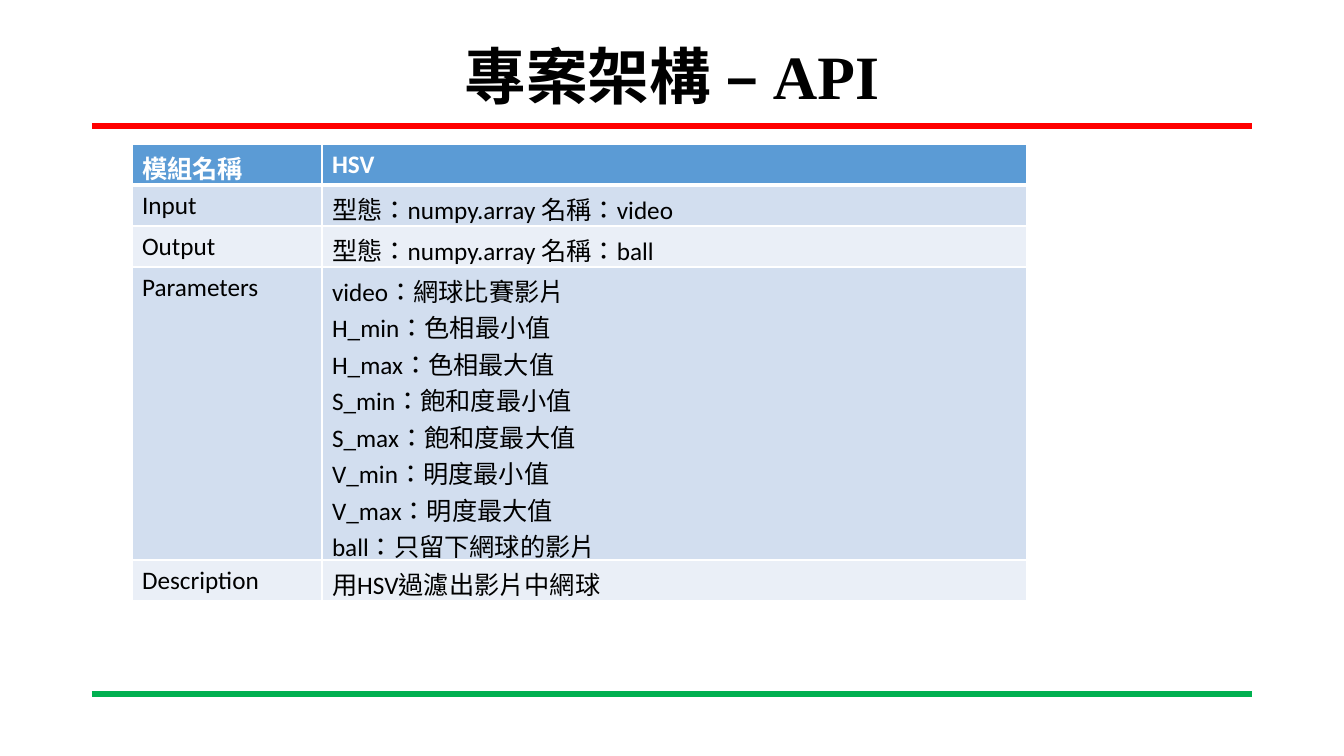
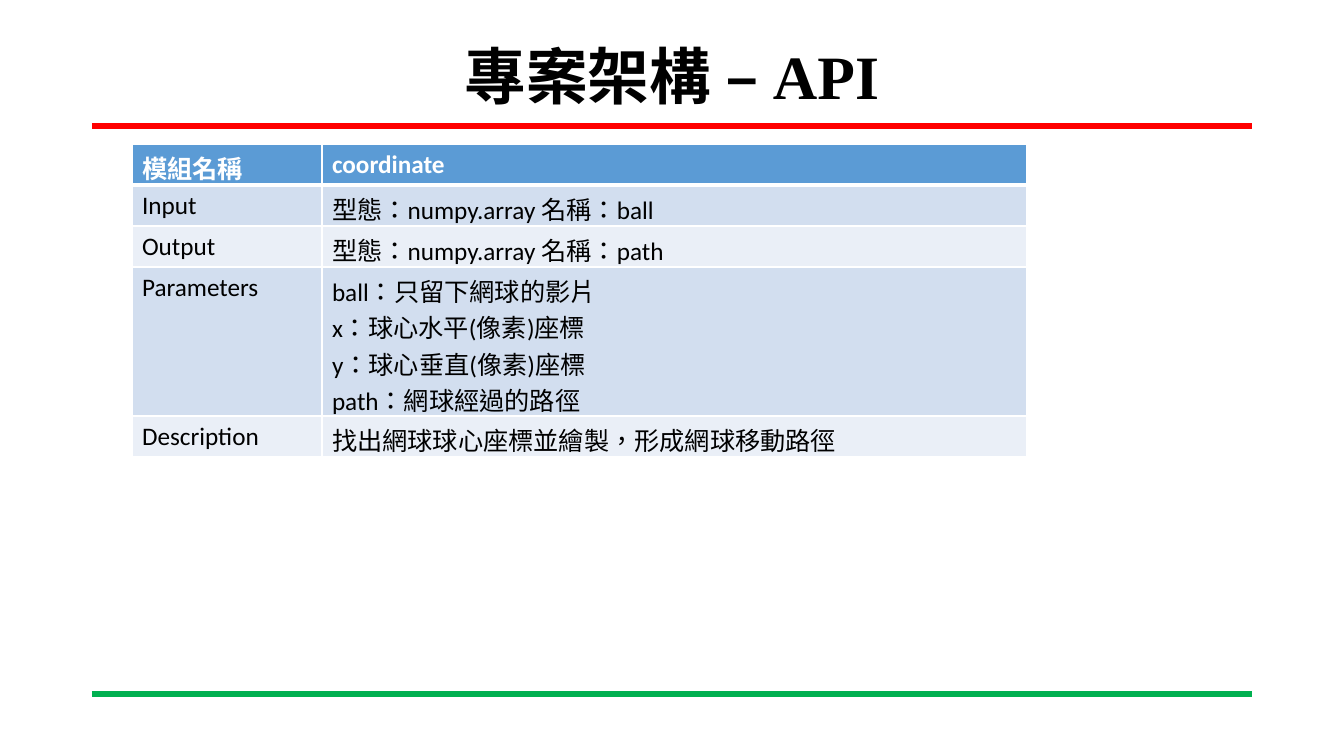
"""Builds two slides that describe the modules of a tennis ball tracker."""
from dataclasses import dataclass

from lxml import etree
from pptx import Presentation
from pptx.dml.color import RGBColor
from pptx.enum.lang import MSO_LANGUAGE_ID
from pptx.enum.shapes import MSO_CONNECTOR
from pptx.enum.text import MSO_ANCHOR, PP_ALIGN
from pptx.oxml.ns import qn
from pptx.slide import Slide
from pptx.table import _Cell
from pptx.text.text import _Paragraph
from pptx.util import Emu, Pt

CENTER = PP_ALIGN.CENTER
LEFT = PP_ALIGN.LEFT
MIDDLE = MSO_ANCHOR.MIDDLE
STRAIGHT = MSO_CONNECTOR.STRAIGHT
CHINESE = MSO_LANGUAGE_ID.TRADITIONAL_CHINESE

EMU_PER_PIXEL = 914400 / 100.8
PAGE_WIDTH, PAGE_HEIGHT = 1344, 756
MARGIN = 92
TITLE_TOP, TITLE_HEIGHT = 40, 80
TABLE_LEFT, TABLE_TOP = 132, 144
COLUMN_WIDTHS = (190, 705)
ROW_HEIGHT = 41
LINE_HEIGHT = 36

BLACK, WHITE = "000000", "FFFFFF"
HEADER_FILL = "5B9BD5"
BAND_FILLS = ("D2DEEF", "EAEFF7")
TITLE = "專案架構 – API"


@dataclass(frozen=True)
class Rule:
    """A horizontal line between the page margins."""
    y: int
    color: str


@dataclass(frozen=True)
class TextStyle:
    """The look of a paragraph."""
    font: str
    size: int
    color: str
    bold: bool = False
    align: PP_ALIGN = LEFT


@dataclass(frozen=True)
class Module:
    """The interface of one module."""
    name: str
    source: str
    result: str
    parameters: tuple[str, ...]
    description: str


RULES = (Rule(126, "FF0000"), Rule(694, "00B050"))
TITLE_STYLE = TextStyle("Times New Roman", 44, BLACK, True, CENTER)
HEADER_STYLE = TextStyle("Calibri", 18, WHITE, True)
BODY_STYLE = TextStyle("Calibri", 18, BLACK)

MODULES = (
    Module(
        "HSV", "video", "ball",
        ("video：網球比賽影片",
         "H_min：色相最小值", "H_max：色相最大值",
         "S_min：飽和度最小值", "S_max：飽和度最大值",
         "V_min：明度最小值", "V_max：明度最大值",
         "ball：只留下網球的影片"),
        "用HSV過濾出影片中網球",
    ),
    Module(
        "coordinate", "ball", "path",
        ("ball：只留下網球的影片", "x：球心水平(像素)座標",
         "y：球心垂直(像素)座標", "path：網球經過的路徑"),
        "找出網球球心座標並繪製，形成網球移動路徑",
    ),
)


def pixels(value: float) -> Emu:
    """Turn pixels into EMU."""
    return Emu(round(value * EMU_PER_PIXEL))


def rgb(value: str) -> RGBColor:
    """Turn a hex string into a colour."""
    return RGBColor.from_string(value)


def write(para: _Paragraph, text: str, style: TextStyle) -> None:
    """Fill a paragraph with styled text."""
    span = para.add_run()
    span.text = text
    span.font.language_id = CHINESE
    para.alignment = style.align
    para.font.name = style.font
    para.font.size = Pt(style.size)
    para.font.bold = style.bold
    para.font.color.rgb = rgb(style.color)


def draw_rule(page: Slide, rule: Rule) -> None:
    """Draw a line from margin to margin."""
    line = page.shapes.add_connector(
        STRAIGHT, pixels(MARGIN), pixels(rule.y),
        pixels(PAGE_WIDTH - MARGIN), pixels(rule.y))
    line.line.color.rgb = rgb(rule.color)
    line.line.width = Pt(4.5)
    etree.SubElement(line._element.spPr, qn("a:effectLst"))


def draw_title(page: Slide) -> None:
    """Draw the centred page title."""
    box = page.shapes.add_textbox(
        pixels(MARGIN), pixels(TITLE_TOP),
        pixels(PAGE_WIDTH - 2 * MARGIN), pixels(TITLE_HEIGHT))
    frame = box.text_frame
    frame.word_wrap = True
    frame.vertical_anchor = MIDDLE
    para = frame.paragraphs[0]
    para.line_spacing = 0.9
    write(para, TITLE, TITLE_STYLE)


def set_borders(cell: _Cell, bottom: float, top: float) -> None:
    """Give a cell white borders, ahead of its fill."""
    properties = cell._tc.get_or_add_tcPr()
    widths = {"a:lnL": 1, "a:lnR": 1, "a:lnT": top, "a:lnB": bottom}
    for index, (tag, width) in enumerate(widths.items()):
        border = etree.Element(qn(tag), w=str(Pt(width)))
        fill = etree.SubElement(border, qn("a:solidFill"))
        etree.SubElement(fill, qn("a:srgbClr"), val=WHITE)
        properties.insert(index, border)


def fill_cell(cell: _Cell, lines: tuple[str, ...], row: int) -> None:
    """Write the lines of a cell and colour it by its row."""
    header = row == 0
    frame = cell.text_frame
    for index, text in enumerate(lines):
        para = frame.add_paragraph() if index else frame.paragraphs[0]
        write(para, text, HEADER_STYLE if header else BODY_STYLE)
    cell.fill.solid()
    cell.fill.fore_color.rgb = rgb(
        HEADER_FILL if header else BAND_FILLS[(row - 1) % 2])
    set_borders(cell, 3 if header else 1, 3 if row == 1 else 1)


def draw_table(page: Slide, module: Module) -> None:
    """Draw the interface table of a module."""
    rows = (
        ("模組名稱", (module.name,)),
        ("Input", (f"型態：numpy.array 名稱：{module.source}",)),
        ("Output", (f"型態：numpy.array 名稱：{module.result}",)),
        ("Parameters", module.parameters),
        ("Description", (module.description,)),
    )
    heights = [ROW_HEIGHT + LINE_HEIGHT * (len(lines) - 1)
               for _, lines in rows]
    table = page.shapes.add_table(
        len(rows), len(COLUMN_WIDTHS), pixels(TABLE_LEFT), pixels(TABLE_TOP),
        pixels(sum(COLUMN_WIDTHS)), pixels(sum(heights))).table
    for column, width in zip(table.columns, COLUMN_WIDTHS):
        column.width = pixels(width)
    for index, (label, lines) in enumerate(rows):
        table.rows[index].height = pixels(heights[index])
        fill_cell(table.cell(index, 0), (label,), index)
        fill_cell(table.cell(index, 1), lines, index)


def main() -> None:
    """Build and save the deck."""
    deck = Presentation()
    deck.slide_width = pixels(PAGE_WIDTH)
    deck.slide_height = pixels(PAGE_HEIGHT)
    blank = deck.slide_layouts[6]
    for module in MODULES:
        page = deck.slides.add_slide(blank)
        for rule in RULES:
            draw_rule(page, rule)
        draw_title(page)
        draw_table(page, module)
    deck.save("out.pptx")


main()
